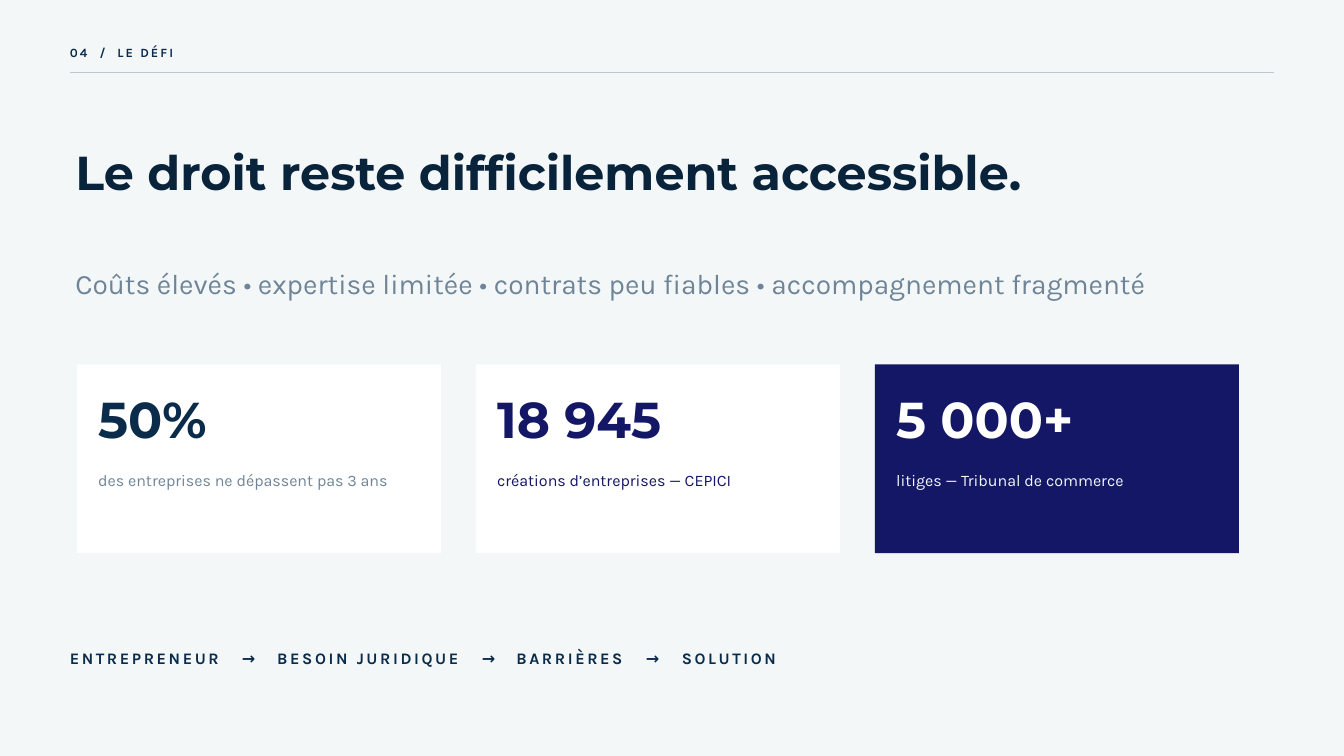
from lxml import etree
from pptx import Presentation
from pptx import util as u
from pptx.dml.color import RGBColor
from pptx.enum import shapes, text
from pptx.oxml.ns import qn

MIST = RGBColor(0xF3, 0xF7, 0xF8)
WHITE = RGBColor(0xFF, 0xFF, 0xFF)
INK = RGBColor(0x09, 0x23, 0x3B)
NAVY = RGBColor(0x0B, 0x2B, 0x4B)
INDIGO = RGBColor(0x13, 0x17, 0x65)
SLATE = RGBColor(0x6F, 0x85, 0x97)
RULE = RGBColor(0xB9, 0xC8, 0xD1)
HEADING, BODY = "Montserrat", "Karla"


def place(shape, left, top, width, height):
    shape.left, shape.top = u.Cm(left), u.Cm(top)
    shape.width, shape.height = u.Cm(width), u.Cm(height)


def write(shape, parts, font, size, leading, color, bold=False, tracking=0, stops=()):
    """Fill a text shape with one line; parts are separated by tab stops (cm)."""
    frame = shape.text_frame
    frame.margin_left = frame.margin_right = frame.margin_top = frame.margin_bottom = 0
    frame.word_wrap = True
    frame.auto_size = text.MSO_AUTO_SIZE.NONE
    frame.vertical_anchor = text.MSO_ANCHOR.TOP
    line = frame.paragraphs[0]
    if stops:
        tabs = etree.SubElement(line._p.get_or_add_pPr(), qn("a:tabLst"))
        for stop in stops:
            etree.SubElement(tabs, qn("a:tab"), pos=str(u.Cm(stop)), algn="l")
    line.alignment = text.PP_ALIGN.LEFT
    line.line_spacing = u.Pt(leading)
    for index, part in enumerate(parts):
        run = line.add_run()
        run.text = "\t" + part if index else part
        run.font.name, run.font.size, run.font.bold = font, u.Pt(size), bold
        run.font.color.rgb = color
        if tracking:
            run._r.get_or_add_rPr().set("spc", str(round(tracking * 100)))


def add_text(slide, box, parts, *style, **options):
    label = slide.shapes.add_textbox(0, 0, 0, 0)
    place(label, *box)
    write(label, parts, *style, **options)


def add_header(slide, left, top, width):
    add_text(slide, (left, top, 16.4, 0.6), ["04", "/", "LE DÉFI"],
             BODY, 13.5, 18.9, NAVY, bold=True, tracking=2.2, stops=(1.13, 1.8))
    rule_y = u.Cm(top + 1.14)
    rule = slide.shapes.add_connector(shapes.MSO_CONNECTOR.STRAIGHT,
                                      u.Cm(left), rule_y, u.Cm(left + width), rule_y)
    rule.line.color.rgb = RULE
    rule.line.width = u.Pt(1)
    etree.SubElement(rule._element.spPr, qn("a:effectLst"))


def add_headline(slide, left, top, width):
    title = slide.shapes.title
    place(title, left, top, width, 1.93)
    write(title, ["Le droit reste difficilement accessible."],
          HEADING, 51, 52.5, INK, bold=True)
    add_text(slide, (left, top + 4.19, width, 1.37),
             ["Coûts élevés • expertise limitée • contrats peu fiables"
              " • accompagnement fragmenté"], BODY, 30.1, 40.7, SLATE)


def add_card(slide, left, top, width, height, figure, caption, fill, figure_color, caption_color):
    card = slide.shapes.add_shape(shapes.MSO_SHAPE.RECTANGLE, 0, 0, 0, 0)
    place(card, left, top, width, height)
    card.shadow.inherit = False
    card.fill.solid()
    card.fill.fore_color.rgb = fill
    card.line.fill.background()
    inner = left + 0.8
    add_text(slide, (inner, top + 1.22, width - 1.06, 2.11), [figure],
             HEADING, 54, 55.6, figure_color, bold=True)
    add_text(slide, (inner, top + 3.91, width - 2.38, 0.76), [caption],
             BODY, 17.2, 23.3, caption_color)


def add_cards(slide, left, top, width, height):
    cards = [
        ("50%", "des entreprises ne dépassent pas 3 ans", WHITE, NAVY, SLATE),
        ("18 945", "créations d’entreprises — CEPICI", WHITE, INDIGO, INDIGO),
        ("5 000+", "litiges — Tribunal de commerce", INDIGO, WHITE, MIST),
    ]
    gap = 1.32
    card_width = (width - gap * (len(cards) - 1)) / len(cards)
    for index, card in enumerate(cards):
        add_card(slide, left + index * (card_width + gap), top, card_width, height, *card)


def add_path(slide, left, top, width):
    steps = ["ENTREPRENEUR", "→", "BESOIN JURIDIQUE", "→", "BARRIÈRES", "→", "SOLUTION"]
    add_text(slide, (left, top, width, 0.81), steps, BODY, 17.2, 24.1, NAVY, bold=True,
             tracking=2.8, stops=(6.5, 7.84, 15.57, 16.88, 21.77, 23.13))


def main():
    deck = Presentation()
    deck.slide_width, deck.slide_height = u.Cm(50.8), u.Cm(28.575)
    slide = deck.slides.add_slide(deck.slide_layouts[5])
    slide.background.fill.solid()
    slide.background.fill.fore_color.rgb = MIST

    add_header(slide, 2.64, 1.6, 45.52)
    add_headline(slide, 2.85, 5.72, 42.5)
    add_cards(slide, 2.91, 13.77, 43.92, 7.14)
    add_path(slide, 2.64, 24.38, 45)
    deck.save("out.pptx")


if __name__ == "__main__":
    main()
